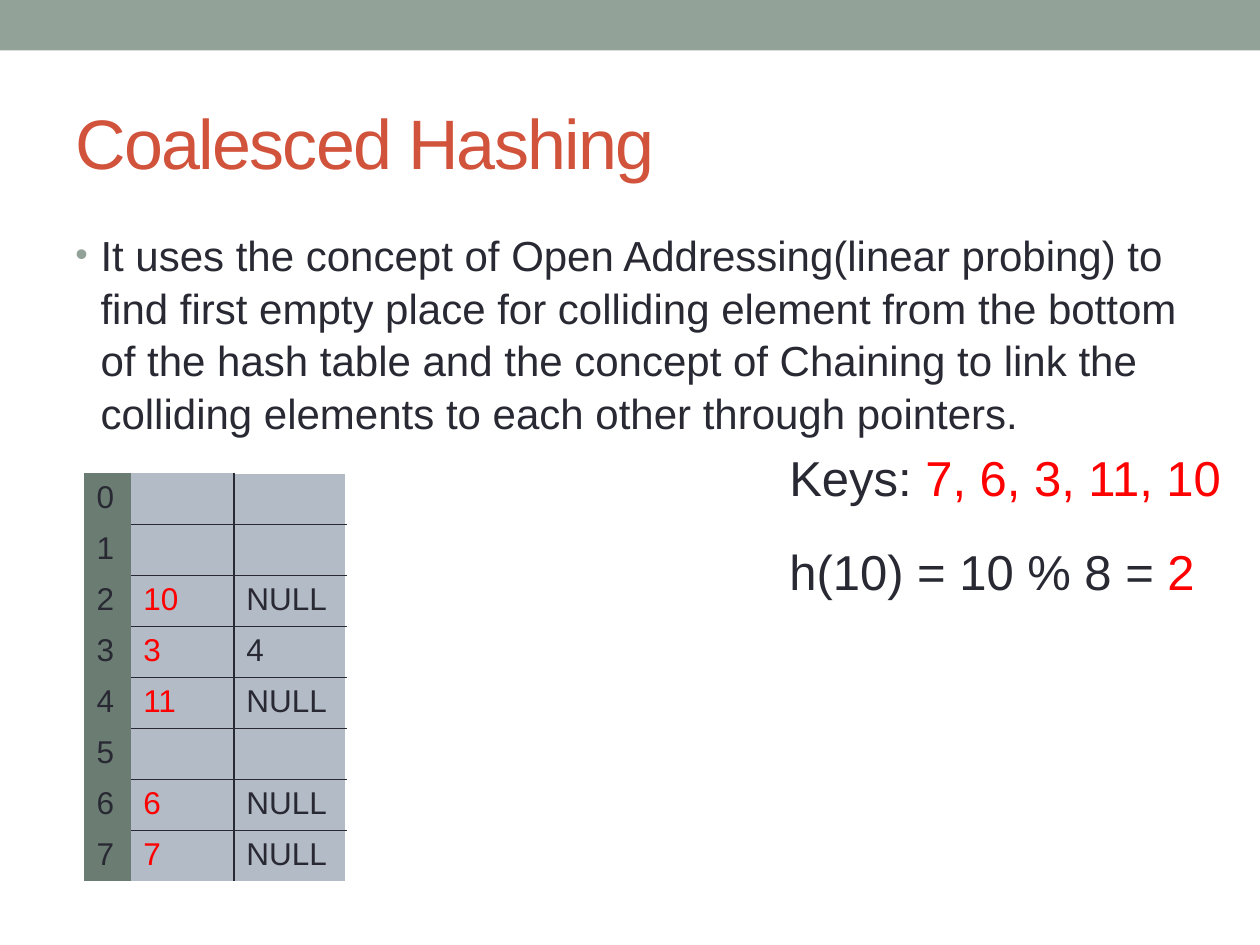
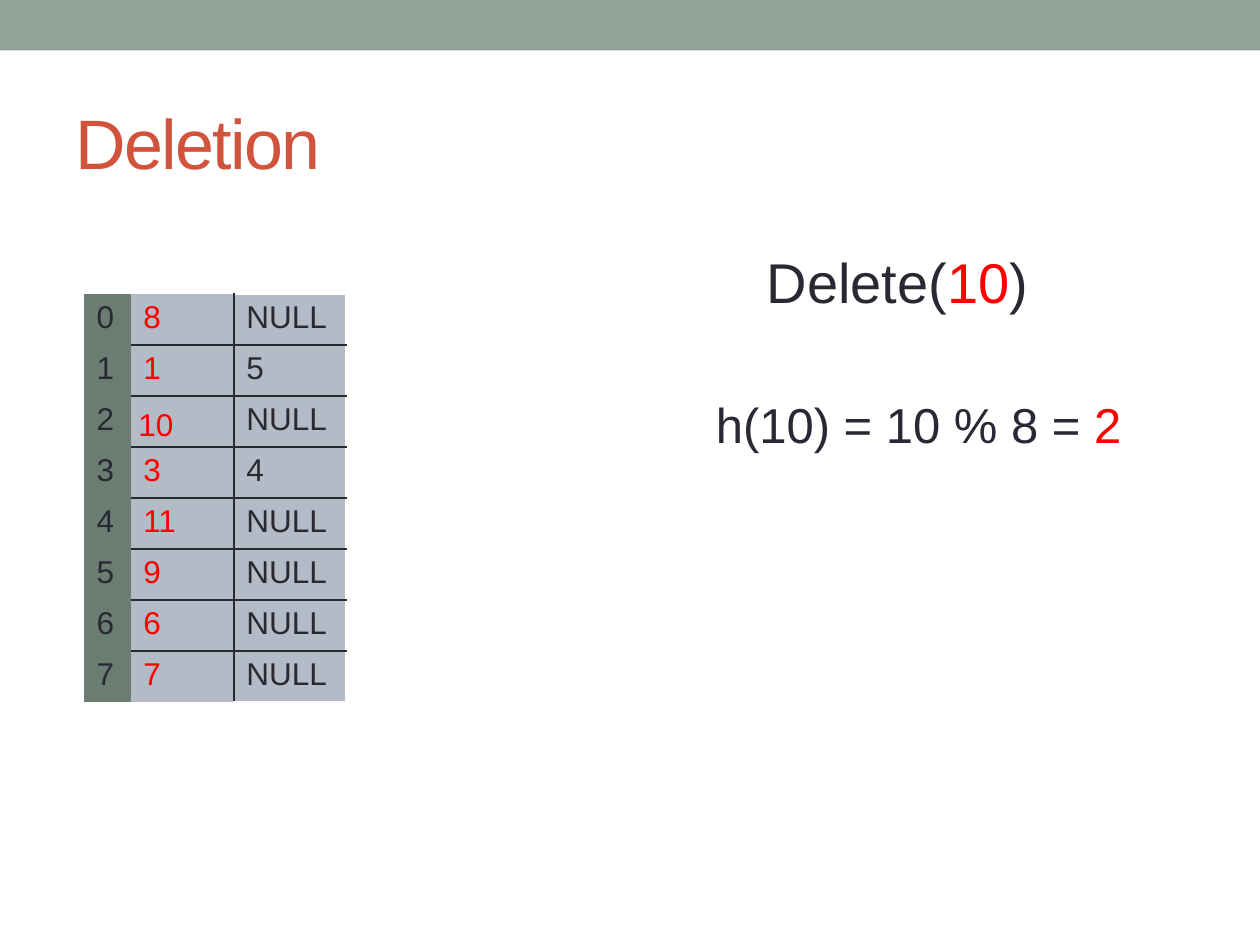
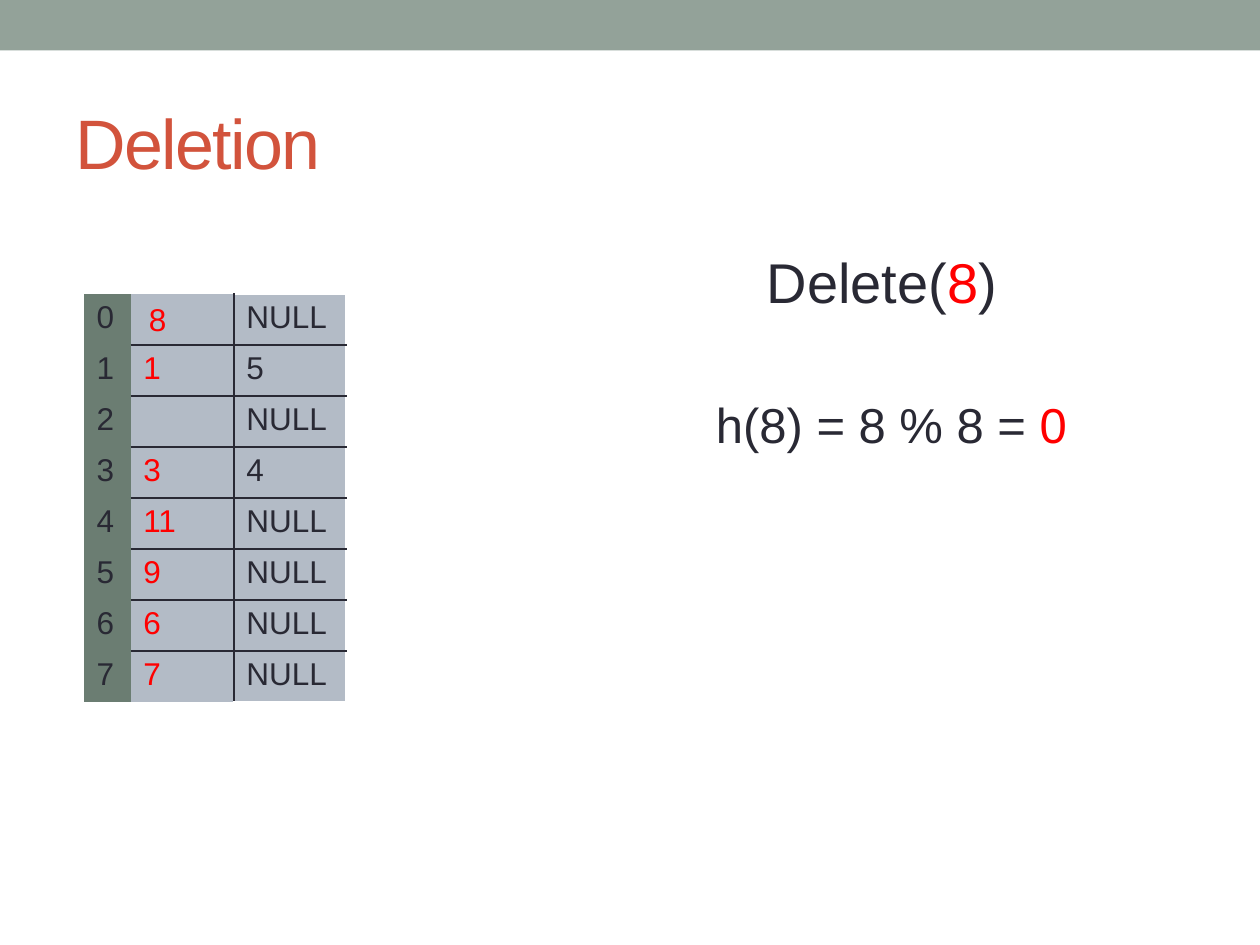
import lxml.etree
import pptx
import pptx.dml.color
import pptx.enum.shapes
import pptx.enum.text
import pptx.util

Pt = pptx.util.Pt
INK, RED, WHITE = "292934", "FF0000", "FFFFFF"
SAGE, RUST = "93A299", "D2533C"
INDEX_FILL, CELL_FILL = "6B7D72", "B3BBC6"
FONT = "Arial"
NAMESPACE = "http://schemas.openxmlformats.org/drawingml/2006/main"
NO_GRID_STYLE = "{2D5ABB26-0587-4C30-8999-92F81FD0307C}"
COLUMN_WIDTHS = (26.7, 59, 64.1)
ROW_HEIGHT = 29.16


def color(value):
    return pptx.dml.color.RGBColor.from_string(value)


def write(frame, text, size, base=INK):
    para = frame.paragraphs[0]
    para.font.name = FONT
    para.font.size = Pt(size)
    para.font.color.rgb = color(base)
    for number, part in enumerate(text.split("|")):
        if part:
            span = para.add_run()
            span.text = part
            if number % 2:
                span.font.color.rgb = color(RED)
    return para


deletion_links = ["NULL", "5", "NULL", "4", "NULL", "NULL", "NULL", "NULL"]
pages = [
    {
        "title": "Coalesced Hashing",
        "table_top": 270.5,
        "keys": ["", "", "10", "3", "11", "", "6", "7"],
        "links": ["", "", "NULL", "4", "NULL", "", "NULL", "NULL"],
        "notes": [
            (444, 252, 276, 41, 28, True, "Keys: |7, 6, 3, 11, 10"),
            (444, 306, 270, 41, 28, True, "h(10) = 10 % 8 = |2"),
        ],
    },
    {
        "title": "Deletion",
        "table_top": 168,
        "keys": ["8", "1", "", "3", "11", "9", "6", "7"],
        "links": deletion_links,
        "notes": [
            (431, 138, 165, 46, 32, False, "Delete(|10|)"),
            (402, 222, 270, 41, 28, True, "h(10) = 10 % 8 = |2"),
            (72, 228, 48, 29, 18, True, "|10"),
        ],
    },
    {
        "title": "Deletion",
        "table_top": 168,
        "keys": ["", "1", "", "3", "11", "9", "6", "7"],
        "links": deletion_links,
        "notes": [
            (431, 138, 147, 46, 32, False, "Delete(|8|)"),
            (402, 222, 270, 41, 28, True, "h(8) = 8 % 8 = |0"),
            (78, 168, 48, 29, 18, True, "|8"),
        ],
    },
]

deck = pptx.Presentation()
deck.slide_width = Pt(720)
deck.slide_height = Pt(540)

for content in pages:
    page = deck.slides.add_slide(deck.slide_layouts[5])

    band = page.shapes.add_shape(
        pptx.enum.shapes.MSO_SHAPE.RECTANGLE, 0, 0, deck.slide_width, Pt(28.8))
    band.shadow.inherit = False
    band.fill.solid()
    band.fill.fore_color.rgb = color(SAGE)
    band.line.fill.background()

    title = page.shapes.title
    title.left, title.top, title.width, title.height = Pt(36), Pt(42), Pt(648), Pt(78)
    title.text_frame.auto_size = pptx.enum.text.MSO_AUTO_SIZE.NONE
    title.text_frame.vertical_anchor = pptx.enum.text.MSO_ANCHOR.MIDDLE
    heading = write(title.text_frame, content["title"], 40, RUST)
    heading.alignment = pptx.enum.text.PP_ALIGN.LEFT
    title.element.xpath(".//a:defRPr")[0].set("spc", "-100")

    row_count = len(content["keys"])
    frame = page.shapes.add_table(
        row_count, len(COLUMN_WIDTHS), Pt(48), Pt(content["table_top"]),
        Pt(sum(COLUMN_WIDTHS)), Pt(ROW_HEIGHT * row_count))
    table = frame.table
    table.first_row = False
    table.horz_banding = False
    frame.element.xpath(".//a:tableStyleId")[0].text = NO_GRID_STYLE
    for column, width in zip(table.columns, COLUMN_WIDTHS):
        column.width = Pt(width)
    for row in table.rows:
        row.height = Pt(ROW_HEIGHT)

    for row, (key, link) in enumerate(zip(content["keys"], content["links"])):
        for column, text in enumerate((str(row), key, link)):
            cell = table.cell(row, column)
            cell.fill.solid()
            cell.fill.fore_color.rgb = color(CELL_FILL if column else INDEX_FILL)
            write(cell.text_frame, text, 18, RED if column == 1 else INK)

    for number, properties in enumerate(frame.element.xpath(".//a:tcPr")):
        row, column = divmod(number, len(COLUMN_WIDTHS))
        outer = WHITE if column == 2 else None
        top = INK if row else outer
        bottom = INK if row < row_count - 1 else outer
        sides = ((), (("R", INK), ("T", top), ("B", bottom)),
                 (("L", INK), ("R", WHITE), ("T", top), ("B", bottom)))[column]
        edges = [(side, value) for side, value in sides if value]
        for position, (side, value) in enumerate(edges):
            edge = lxml.etree.fromstring(
                f'<a:ln{side} xmlns:a="{NAMESPACE}" w="12700"><a:solidFill>'
                f'<a:srgbClr val="{value}"/></a:solidFill></a:ln{side}>')
            properties.insert(position, edge)

    for left, top, width, height, size, wrap, text in content["notes"]:
        box = page.shapes.add_textbox(Pt(left), Pt(top), Pt(width), Pt(height))
        box.text_frame.word_wrap = wrap
        write(box.text_frame, text, size)

body = deck.slides[0].shapes.add_textbox(Pt(36), Pt(126), Pt(648), Pt(384))
body.text_frame.word_wrap = True
para = write(
    body.text_frame,
    "It uses the concept of Open Addressing(linear probing) to find first empty place "
    "for colliding element from the bottom of the hash table and the concept of Chaining "
    "to link the colliding elements to each other through pointers.", 24)
para.line_spacing = 1.05
para.space_before = Pt(2)
properties = body.element.xpath(".//a:pPr")[0]
properties.set("marL", str(Pt(14.4)))
properties.set("indent", str(-Pt(14.4)))
bullet = lxml.etree.fromstring(
    f'<a:bullet xmlns:a="{NAMESPACE}"><a:buClr><a:srgbClr val="{SAGE}"/></a:buClr>'
    f'<a:buSzPct val="85000"/><a:buFont typeface="{FONT}"/><a:buChar char="•"/></a:bullet>')
for part in list(bullet):
    properties.xpath("a:defRPr")[0].addprevious(part)

deck.save("out.pptx")
